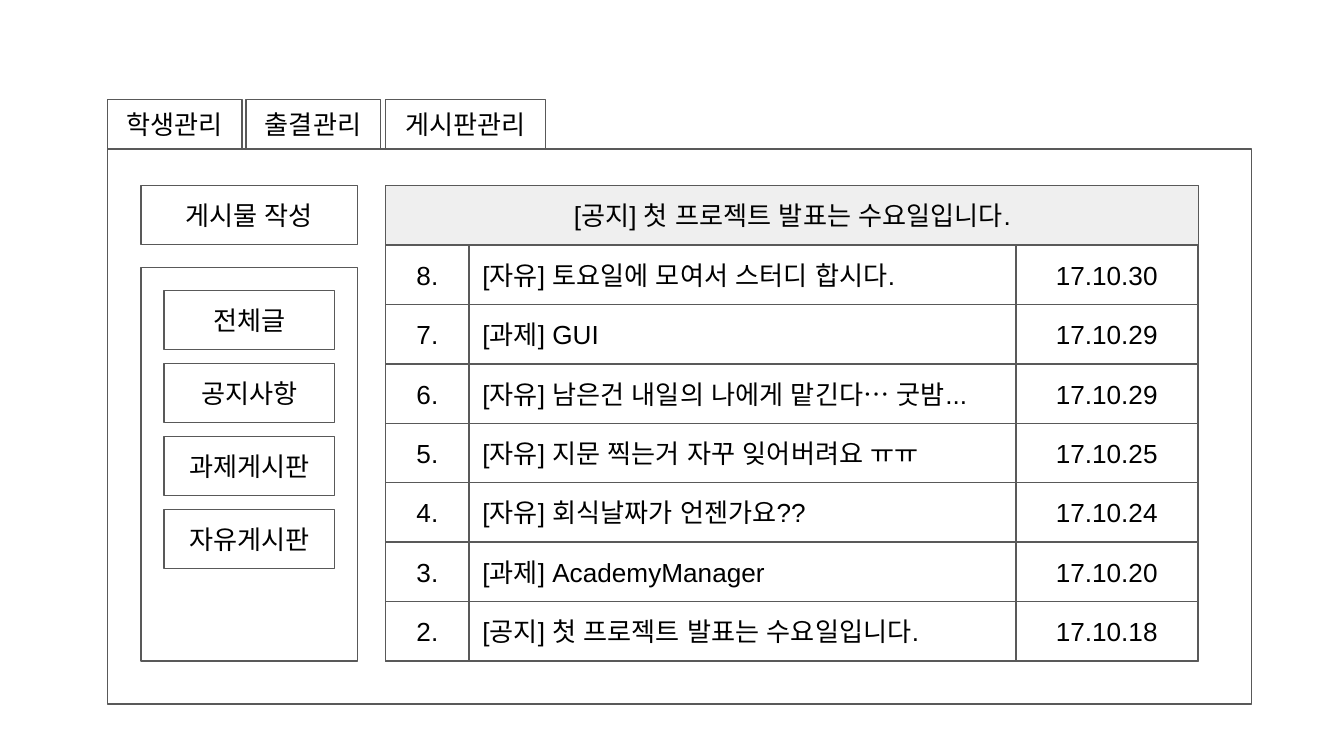
from pptx import Presentation
from pptx.dml.color import RGBColor
from pptx.enum.lang import MSO_LANGUAGE_ID
from pptx.enum.shapes import MSO_SHAPE
from pptx.enum.text import MSO_ANCHOR, PP_ALIGN
from pptx.util import Inches, Pt

COLORS = {"paper": "FFFFFF", "notice": "EFEFEF", "border": "595959", "ink": "000000"}

TABS = [("학생관리", 0.8, 1), ("출결관리", 1.83, 1), ("게시판관리", 2.87, 1.19)]
BOARDS = ["전체글", "공지사항", "과제게시판", "자유게시판"]
NOTICE = "[공지] 첫 프로젝트 발표는 수요일입니다."
POSTS = [
    ("8.", "[자유] 토요일에 모여서 스터디 합시다.", "17.10.30"),
    ("7.", "[과제] GUI", "17.10.29"),
    ("6.", "[자유] 남은건 내일의 나에게 맡긴다… 굿밤...", "17.10.29"),
    ("5.", "[자유] 지문 찍는거 자꾸 잊어버려요 ㅠㅠ", "17.10.25"),
    ("4.", "[자유] 회식날짜가 언젠가요??", "17.10.24"),
    ("3.", "[과제] AcademyManager", "17.10.20"),
    ("2.", NOTICE, "17.10.18"),
]
POST_COLUMNS = [
    (2.87, 0.62, PP_ALIGN.CENTER),
    (3.49, 4.07, PP_ALIGN.LEFT),
    (7.56, 1.35, PP_ALIGN.CENTER),
]
LIST_LEFT, LIST_TOP, LIST_WIDTH, LIST_HEIGHT = 2.87, 1.38, 6.05, 3.54
ROW_HEIGHT = LIST_HEIGHT / (len(POSTS) + 1)
BUTTON_HEIGHT = 0.44


def write(frame, text, *, size=14, font="Arial", color="ink", align=PP_ALIGN.CENTER):
    paragraph = frame.paragraphs[0]
    paragraph.alignment = align
    run = paragraph.add_run()
    run.text = text
    run.font.size = Pt(size)
    run.font.name = font
    run.font.language_id = MSO_LANGUAGE_ID.KOREAN
    run.font.color.rgb = RGBColor.from_string(COLORS[color])


class Wireframe:
    """Draws outlined panels and labelled boxes on one slide."""

    def __init__(self, slide):
        self.slide = slide
        self.border_width = Pt(0.75)
        self.inset = Inches(0.1)

    def panel(self, left, top, width, height, fill="paper"):
        outline = self.slide.shapes.add_shape(
            MSO_SHAPE.RECTANGLE, Inches(left), Inches(top), Inches(width), Inches(height)
        )
        outline.shadow.inherit = False
        outline.fill.solid()
        outline.fill.fore_color.rgb = RGBColor.from_string(COLORS[fill])
        outline.line.color.rgb = RGBColor.from_string(COLORS["border"])
        outline.line.width = self.border_width
        return outline

    def label(self, text, left, top, width, height, fill="paper", **text_format):
        frame = self.panel(left, top, width, height, fill).text_frame
        frame.word_wrap = True
        frame.vertical_anchor = MSO_ANCHOR.MIDDLE
        frame.margin_left = frame.margin_right = self.inset
        frame.margin_top = frame.margin_bottom = self.inset
        write(frame, text, **text_format)


def main():
    presentation = Presentation()
    presentation.slide_width = Inches(10)
    presentation.slide_height = Inches(10 * 9 / 16)
    wireframe = Wireframe(presentation.slides.add_slide(presentation.slide_layouts[6]))

    for tab, left, width in TABS:
        wireframe.label(tab, left, 0.74, width, 0.37)
    wireframe.panel(0.8, 1.11, 8.51, 4.13)

    wireframe.label("게시물 작성", 1.05, LIST_TOP, 1.61, BUTTON_HEIGHT)
    wireframe.panel(1.05, 1.99, 1.61, 2.93)
    board_step = (3.79 - 2.16) / (len(BOARDS) - 1)
    for index, board in enumerate(BOARDS):
        wireframe.label(board, 1.22, 2.16 + index * board_step, 1.27, BUTTON_HEIGHT)

    wireframe.panel(LIST_LEFT, LIST_TOP, LIST_WIDTH, LIST_HEIGHT)
    wireframe.label(NOTICE, LIST_LEFT, LIST_TOP, LIST_WIDTH, ROW_HEIGHT, fill="notice")
    for row, post in enumerate(POSTS, start=1):
        top = LIST_TOP + row * ROW_HEIGHT
        for text, (left, width, align) in zip(post, POST_COLUMNS):
            wireframe.label(text, left, top, width, ROW_HEIGHT, align=align)

    presentation.save("out.pptx")


if __name__ == "__main__":
    main()
